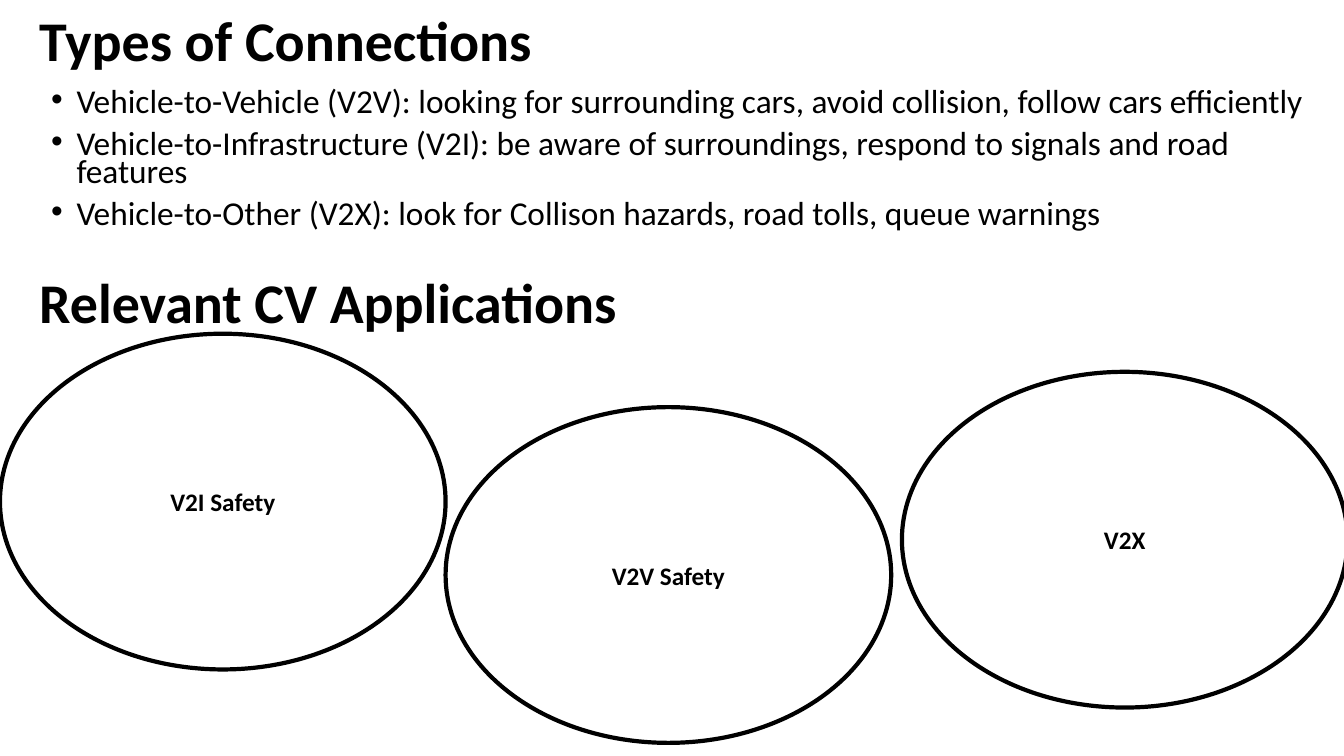
from lxml import etree
from pptx import Presentation
from pptx.dml.color import RGBColor
from pptx.enum import shapes, text
from pptx.oxml.ns import qn
from pptx.util import Cm, Pt

BLACK = RGBColor(0, 0, 0)
FONT = "Calibri"

# (wording, top in cm)
HEADINGS = [("Types of Connections", 0), ("Relevant CV Applications", 6.6)]
CONNECTIONS = [
    "Vehicle-to-Vehicle (V2V): looking for surrounding cars, avoid collision, follow cars efficiently",
    "Vehicle-to-Infrastructure (V2I): be aware of surroundings, respond to signals and road features",
    "Vehicle-to-Other (V2X): look for Collison hazards, road tolls, queue warnings",
]
# (wording, left, top in cm)
APPLICATIONS = [("V2I Safety", 0, 8.41), ("V2V Safety", 11.23, 10.26), ("V2X", 22.73, 9.37)]
ELLIPSE_WIDTH, ELLIPSE_HEIGHT = Cm(11.23), Cm(8.46)


def add_run(paragraph, wording, size, bold=False):
    run = paragraph.add_run()
    run.text = wording
    run.font.name = FONT
    run.font.size = Pt(size)
    run.font.bold = bold
    run.font.color.rgb = BLACK


def add_text_frame(slide, left, top, width, height, anchor):
    frame = slide.shapes.add_textbox(Cm(left), Cm(top), Cm(width), Cm(height)).text_frame
    frame.word_wrap = True
    frame.vertical_anchor = anchor
    return frame


def add_bullet(paragraph):
    properties = paragraph._p.get_or_add_pPr()
    properties.set("marL", str(Cm(0.64)))
    properties.set("indent", str(Cm(-0.64)))
    etree.SubElement(properties, qn("a:buFont")).set("typeface", "Arial")
    etree.SubElement(properties, qn("a:buChar")).set("char", "•")


def add_heading(slide, wording, top):
    frame = add_text_frame(slide, 0.74, top, 23.24, 2.18, text.MSO_ANCHOR.MIDDLE)
    paragraph = frame.paragraphs[0]
    paragraph.line_spacing = 0.9
    add_run(paragraph, wording, 40, bold=True)


def add_connections(slide):
    frame = add_text_frame(slide, 1.04, 2.18, 33.05, 3.91, text.MSO_ANCHOR.TOP)
    for index, wording in enumerate(CONNECTIONS):
        paragraph = frame.add_paragraph() if index else frame.paragraphs[0]
        add_bullet(paragraph)
        paragraph.line_spacing = 0.7
        paragraph.space_before = Pt(10 if index else 0)
        add_run(paragraph, wording, 23.8)


def add_application(slide, wording, left, top):
    ellipse = slide.shapes.add_shape(
        shapes.MSO_SHAPE.OVAL, Cm(left), Cm(top), ELLIPSE_WIDTH, ELLIPSE_HEIGHT)
    ellipse.shadow.inherit = False
    ellipse.fill.background()
    ellipse.line.color.rgb = BLACK
    ellipse.line.width = Pt(3)
    ellipse.text_frame.vertical_anchor = text.MSO_ANCHOR.MIDDLE
    paragraph = ellipse.text_frame.paragraphs[0]
    paragraph.alignment = text.PP_ALIGN.CENTER
    add_run(paragraph, wording, 18, bold=True)


def main():
    presentation = Presentation()
    presentation.slide_width, presentation.slide_height = Cm(33.87), Cm(19.05)
    slide = presentation.slides.add_slide(presentation.slide_layouts[6])
    for wording, top in HEADINGS:
        add_heading(slide, wording, top)
    add_connections(slide)
    for wording, left, top in APPLICATIONS:
        add_application(slide, wording, left, top)
    presentation.save("out.pptx")


if __name__ == "__main__":
    main()
